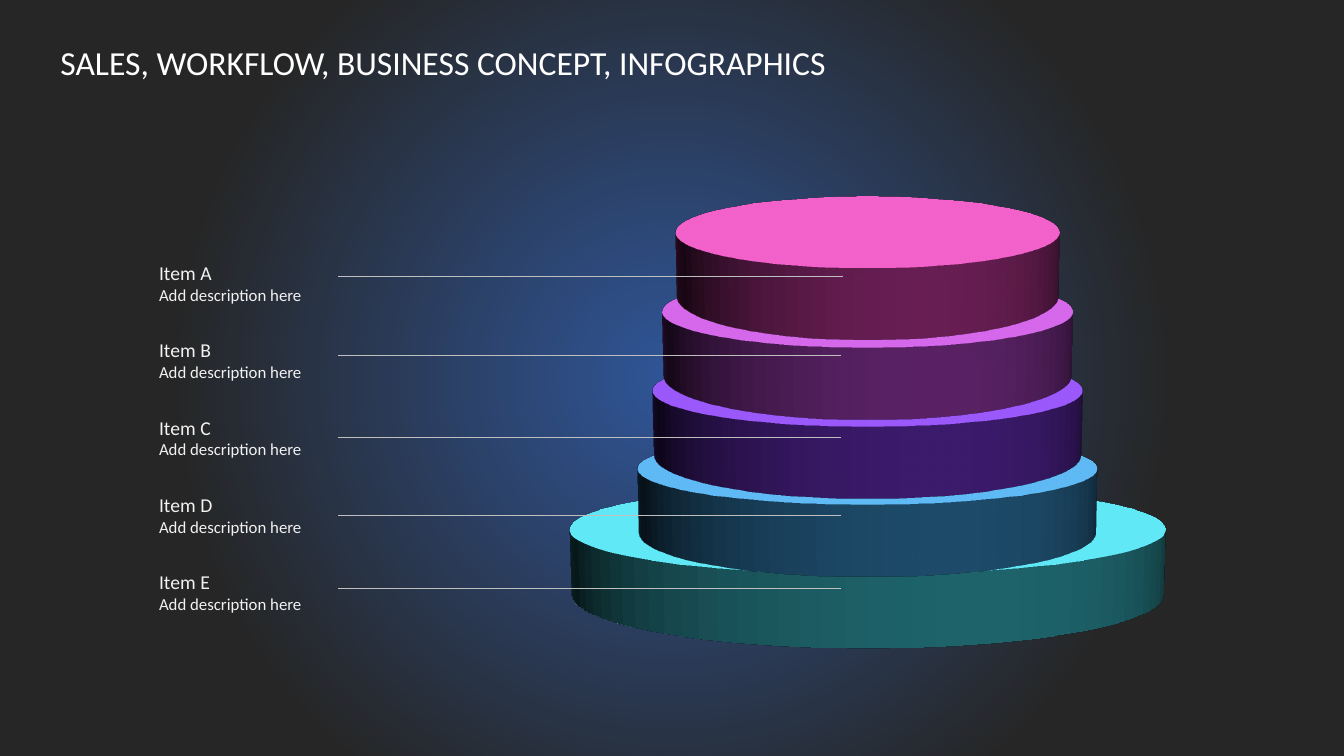
from lxml.etree import SubElement
from pptx import Presentation
from pptx.dml.color import RGBColor
from pptx.enum.shapes import MSO_CONNECTOR, MSO_SHAPE
from pptx.oxml.ns import qn
from pptx.util import Inches, Pt

COLORS = {
    "glow": "2F5597", "night": "262626",
    "title": "FFFFFF", "label": "F2F2F2", "leader": "BFBFBF",
    "pink": "CC3CA3", "orchid": "AF43C5", "violet": "7534D4",
    "blue": "3A92CE", "cyan": "3AC0CE",
}
# Item, colour, disk width, disk height, disk centre row, leader row, leader end column
TIERS = [
    ("Item A", "pink", 28.13, 53.73, 30.07, 36.6, 62.7),
    ("Item B", "orchid", 30.08, 53.73, 40.6, 46.95, 62.6),
    ("Item C", "violet", 31.51, 53.73, 51, 57.8, 62.6),
    ("Item D", "blue", 33.76, 53.73, 61.4, 68.2, 62.6),
    ("Item E", "cyan", 43.36, 66.4, 69.07, 77.8, 62.6),
]
DISK_CENTER = 64.55
DISK_DEPTH = Pt(46)
FIRST_LABEL, LABEL_PITCH = 33.87, 10.23


class TierSlide:
    """Draws on one slide; lengths are percent of its width and height."""

    font_name = "Calibri"

    def __init__(self, presentation):
        self.column = presentation.slide_width / 100
        self.row = presentation.slide_height / 100
        self.slide = presentation.slides.add_slide(presentation.slide_layouts[6])
        self.shapes = self.slide.shapes

    def place(self, x, y):
        return round(x * self.column), round(y * self.row)

    def background(self):
        self.slide.background.fill.gradient()
        gradient = self.slide.element.find(".//" + qn("a:gradFill"))
        for child in list(gradient):
            gradient.remove(child)
        stops = SubElement(gradient, qn("a:gsLst"))
        for position, color in (("0", "glow"), ("65000", "night")):
            stop = SubElement(stops, qn("a:gs"), pos=position)
            SubElement(stop, qn("a:srgbClr"), val=COLORS[color])
        circle = SubElement(gradient, qn("a:path"), path="circle")
        SubElement(circle, qn("a:fillToRect"), l="50000", t="50000", r="50000", b="50000")

    def disk(self, group, color, center_y, width, height):
        """Add an ellipse tilted backwards and extruded into a disk."""
        disk = group.shapes.add_shape(MSO_SHAPE.OVAL,
                                      *self.place(DISK_CENTER - width / 2, center_y - height / 2),
                                      *self.place(width, height))
        disk.fill.solid()
        disk.fill.fore_color.rgb = RGBColor.from_string(COLORS[color])
        disk.line.fill.background()
        disk.shadow.inherit = False
        properties = disk.element.spPr
        scene = SubElement(properties, qn("a:scene3d"))
        camera = SubElement(scene, qn("a:camera"), prst="perspectiveRelaxed")
        SubElement(camera, qn("a:rot"), lat="16800000", lon="0", rev="0")
        SubElement(scene, qn("a:lightRig"), rig="threePt", dir="t")
        SubElement(properties, qn("a:sp3d"), extrusionH=str(DISK_DEPTH))

    def text(self, x, y, width, height, lines, color):
        """Add a text box with one paragraph per (text, point size) line."""
        frame = self.shapes.add_textbox(*self.place(x, y), *self.place(width, height)).text_frame
        frame.word_wrap = True
        for index, (content, size) in enumerate(lines):
            paragraph = frame.add_paragraph() if index else frame.paragraphs[0]
            run = paragraph.add_run()
            run.text = content
            run.font.name = self.font_name
            run.font.size = Pt(size)
            run.font.color.rgb = RGBColor.from_string(COLORS[color])

    def leader(self, start_x, end_x, y):
        line = self.shapes.add_connector(MSO_CONNECTOR.STRAIGHT,
                                         *self.place(end_x, y), *self.place(start_x, y))
        line.line.color.rgb = RGBColor.from_string(COLORS["leader"])
        line.line.width = Pt(0.5)
        SubElement(line.element.spPr, qn("a:effectLst"))


def main():
    presentation = Presentation()
    presentation.slide_width, presentation.slide_height = Inches(13.33), Inches(7.5)
    slide = TierSlide(presentation)
    slide.background()
    stack = slide.shapes.add_group_shape()
    for _, color, width, height, center_y, _, _ in reversed(TIERS):
        slide.disk(stack, color, center_y, width, height)
    for index, (item, *_) in enumerate(TIERS):
        slide.text(11.1, FIRST_LABEL + index * LABEL_PITCH, 23.25, 7.2,
                   [(item, 14), ("Add description here", 12)], "label")
    for *_, leader_y, leader_end in TIERS:
        slide.leader(25.12, leader_end, leader_y)
    slide.text(3.75, 4.93, 96.25, 6.67,
               [("SALES, WORKFLOW, BUSINESS CONCEPT, INFOGRAPHICS", 24)], "title")
    presentation.save("out.pptx")


if __name__ == "__main__":
    main()
